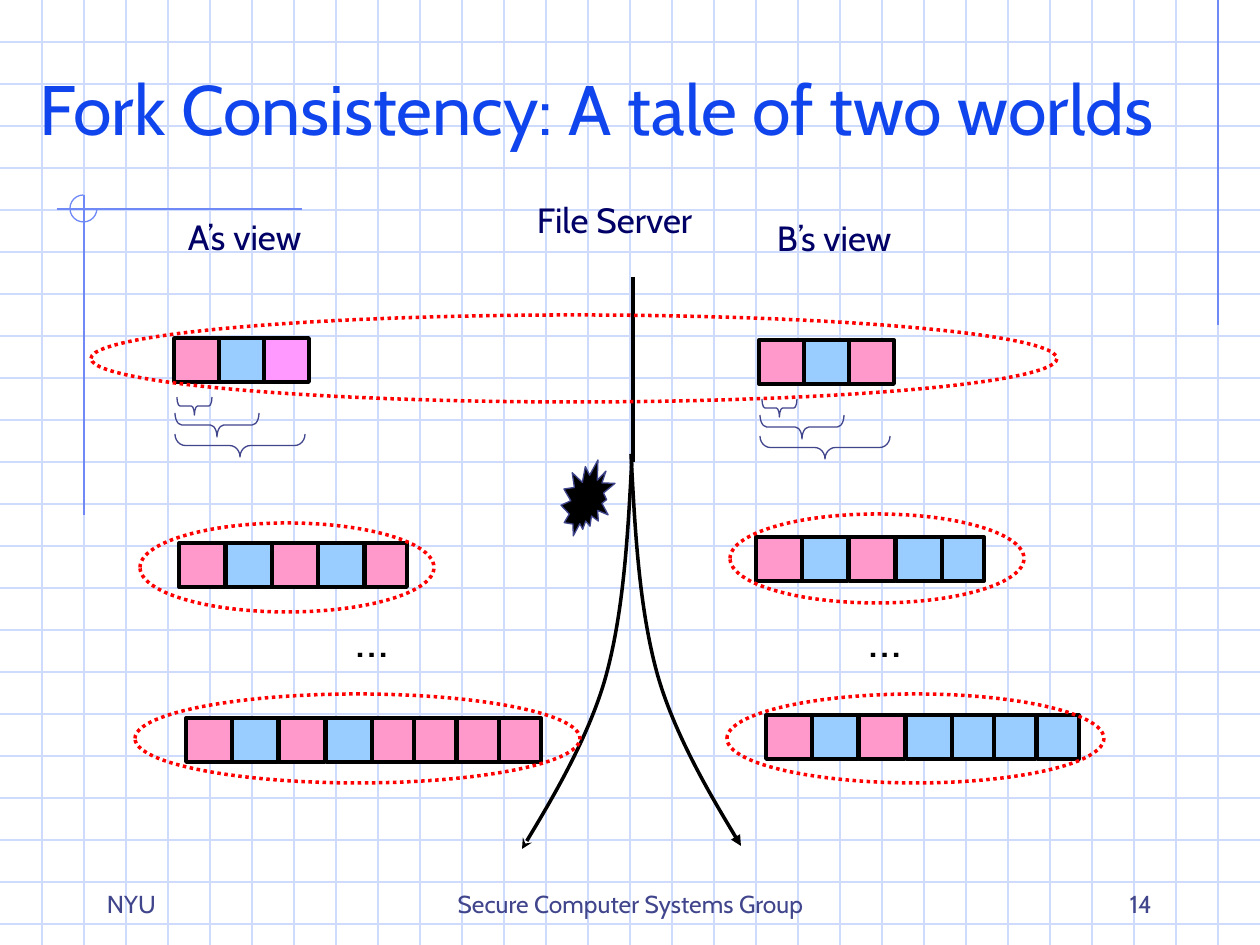
from lxml.etree import SubElement
from pptx import Presentation
from pptx.dml.color import RGBColor
from pptx.enum.dml import MSO_LINE
from pptx.enum.shapes import MSO_CONNECTOR, MSO_SHAPE
from pptx.enum.text import MSO_ANCHOR, PP_ALIGN
from pptx.oxml.ns import qn
from pptx.util import Emu, Pt

EMU_PER_PX = 914400 / 126
SLIDE_W, SLIDE_H = 1260, 945
GRID = 42
FONT = "Cabin"

BLACK = RGBColor(0x00, 0x00, 0x00)
RED = RGBColor(0xFF, 0x00, 0x00)
PINK = RGBColor(0xFF, 0x99, 0xCC)
SKY = RGBColor(0x99, 0xCC, 0xFF)
VIOLET = RGBColor(0xFF, 0x99, 0xFF)
GRID_BLUE = RGBColor(0xCF, 0xDB, 0xFD)
RULE_BLUE = RGBColor(0x6F, 0x89, 0xF7)
TITLE_BLUE = RGBColor(0x10, 0x44, 0xEC)
NAVY = RGBColor(0x00, 0x00, 0x66)
SLATE = RGBColor(0x40, 0x45, 0x8C)

OPERATIONS = {"p": PINK, "s": SKY, "v": VIOLET}
BLOCK_H = 44
WIDE_BLOCKS = 4
WIDE_PITCH, NARROW_PITCH = 46.5, 42.3

# Left, top, operations of each history
FORKED_HISTORIES = [
    (179, 543, "pspsp"),
    (756, 537, "pspss"),
    (186, 718, "pspspppp"),
    (766, 715, "pspssss"),
]
WORLDS = [
    (91, 315, 966, 87),
    (140, 523, 294, 89),
    (730, 514, 294, 89),
    (135, 694, 445, 89),
    (727, 694, 377, 89),
]
# Offset from the history's left and top, size, curl of each prefix brace
PREFIX_BRACES = [
    (3, 59, 35, 18, 0.17),
    (1, 75, 84, 24, 0.28),
    (1, 96, 130, 23, 0.45),
]
# Start, then three points for each Bezier segment
FORK_BRANCH = [(0, 0), (4, 76), (8, 153), (26, 219),
               (44, 284), (94, 365), (110, 392)]


def px(length):
    return Emu(round(length * EMU_PER_PX))


def apply(target, **values):
    for attribute, value in values.items():
        setattr(target, attribute, value)


def set_line(shape, color, width):
    shape.line.color.rgb = color
    shape.line.width = Pt(width)


def add_line(slide, x1, y1, x2, y2, color=RULE_BLUE, width=0.75):
    line = slide.shapes.add_connector(
        MSO_CONNECTOR.STRAIGHT, px(x1), px(y1), px(x2), px(y2))
    set_line(line, color, width)
    SubElement(line._element.spPr, qn("a:effectLst"))


def add_figure(slide, preset, box, color, width, fill=None):
    figure = slide.shapes.add_shape(preset, *map(px, box))
    figure.shadow.inherit = False
    if fill is None:
        figure.fill.background()
    else:
        figure.fill.solid()
        figure.fill.fore_color.rgb = fill
    set_line(figure, color, width)
    return figure


def add_text(slide, text, box, size, color, align=PP_ALIGN.LEFT,
             anchor=MSO_ANCHOR.TOP, wrap=False, margin_left=13):
    frame = slide.shapes.add_textbox(*map(px, box)).text_frame
    apply(frame, word_wrap=wrap, vertical_anchor=anchor,
          margin_left=px(margin_left), margin_right=px(13),
          margin_top=px(6), margin_bottom=px(6))
    paragraph = frame.paragraphs[0]
    paragraph.text = text
    paragraph.alignment = align
    apply(paragraph.font, name=FONT, size=Pt(size))
    paragraph.font.color.rgb = color


def add_backdrop(slide):
    for y in range(GRID, SLIDE_H, GRID):
        add_line(slide, 0, y, SLIDE_W, y, GRID_BLUE)
    for x in range(GRID, SLIDE_W, GRID):
        add_line(slide, x, 0, x, SLIDE_H, GRID_BLUE)
    add_line(slide, 1218, 0, 1218, 325)
    add_line(slide, 302, 209, 57, 209)
    add_line(slide, 84, 195, 84, 515)
    corner = add_figure(slide, MSO_SHAPE.ARC, (70, 195, 27, 27), RULE_BLUE, 0.75)
    corner.adjustments[0] = 0
    corner.adjustments[1] = 162  # 270 degrees


def add_block(slide, x, y, width, operation):
    add_figure(slide, MSO_SHAPE.RECTANGLE, (x, y, width, BLOCK_H),
               BLACK, 2.25, OPERATIONS[operation])


def add_forked_history(slide, left, top, operations):
    for i, operation in enumerate(operations):
        wide = min(i, WIDE_BLOCKS)
        x = round(left + wide * WIDE_PITCH + (i - wide) * NARROW_PITCH)
        add_block(slide, x, top, 46 if i < WIDE_BLOCKS else 42, operation)


def add_shared_history(slide, left, top, operations):
    for i, operation in enumerate(operations):
        add_block(slide, left + 45 * i, top, 45, operation)
    for dx, dy, span, depth, curl in PREFIX_BRACES:
        # The brace stands upright in its frame and is turned about its centre
        x = left + dx + (span - depth) / 2
        y = top + dy + (depth - span) / 2
        brace = add_figure(slide, MSO_SHAPE.LEFT_BRACE, (x, y, depth, span),
                           SLATE, 0.75)
        brace.rotation = 270
        brace.adjustments[0] = curl


def add_branch(slide, x, y, direction, arrowhead):
    points = [(px(x + direction * dx), px(y + dy)) for dx, dy in FORK_BRANCH]
    builder = slide.shapes.build_freeform(*points[0])
    builder.add_line_segments(points[1:], close=False)
    branch = builder.convert_to_shape()
    branch.shadow.inherit = False
    branch.fill.background()
    set_line(branch, BLACK, 2)
    segments = list(branch._element.iter(qn("a:lnTo")))
    for curve, second, third in zip(*[iter(segments)] * 3):
        curve.tag = qn("a:cubicBezTo")
        for segment in (second, third):
            curve.append(segment[0])
            segment.getparent().remove(segment)
    SubElement(branch.line._get_or_add_ln(), qn("a:tailEnd"), type=arrowhead)


def add_footer(slide, text, left, width, align):
    add_text(slide, text, (left, 861, width, 63), 14, SLATE, align,
             MSO_ANCHOR.BOTTOM, wrap=True)


def main():
    presentation = Presentation()
    apply(presentation, slide_width=px(SLIDE_W), slide_height=px(SLIDE_H))
    slide = presentation.slides.add_slide(presentation.slide_layouts[6])

    add_backdrop(slide)
    add_text(slide, "Fork Consistency: A tale of two worlds",
             (14, 23, 1246, 132), 40, TITLE_BLUE,
             anchor=MSO_ANCHOR.BOTTOM, wrap=True, margin_left=26)
    for label, box in [("File Server", (524, 192, 195, 55)),
                       ("A’s view", (175, 209, 154, 55)),
                       ("B’s view", (764, 210, 154, 55))]:
        add_text(slide, label, box, 20, NAVY)

    add_line(slide, 633, 277, 633, 462, BLACK, 2)
    add_branch(slide, 631, 454, 1, "triangle")
    add_branch(slide, 632, 457, -1, "stealth")
    add_figure(slide, MSO_SHAPE.EXPLOSION2, (561, 460, 54, 76), SLATE, 0.75, BLACK)

    add_shared_history(slide, 174, 338, "psv")
    add_shared_history(slide, 759, 340, "psp")
    for history in FORKED_HISTORIES:
        add_forked_history(slide, *history)
    for world in WORLDS:
        ellipse = add_figure(slide, MSO_SHAPE.OVAL, world, RED, 2)
        ellipse.line.dash_style = MSO_LINE.ROUND_DOT
    for left in (343, 856):
        add_text(slide, "…", (left, 602, 63, 72), 28, BLACK)

    add_footer(slide, "NYU", 94, 262, PP_ALIGN.LEFT)
    add_footer(slide, "Secure Computer Systems Group", 431, 399, PP_ALIGN.CENTER)
    add_footer(slide, "14", 903, 262, PP_ALIGN.RIGHT)
    presentation.save("out.pptx")


if __name__ == "__main__":
    main()
